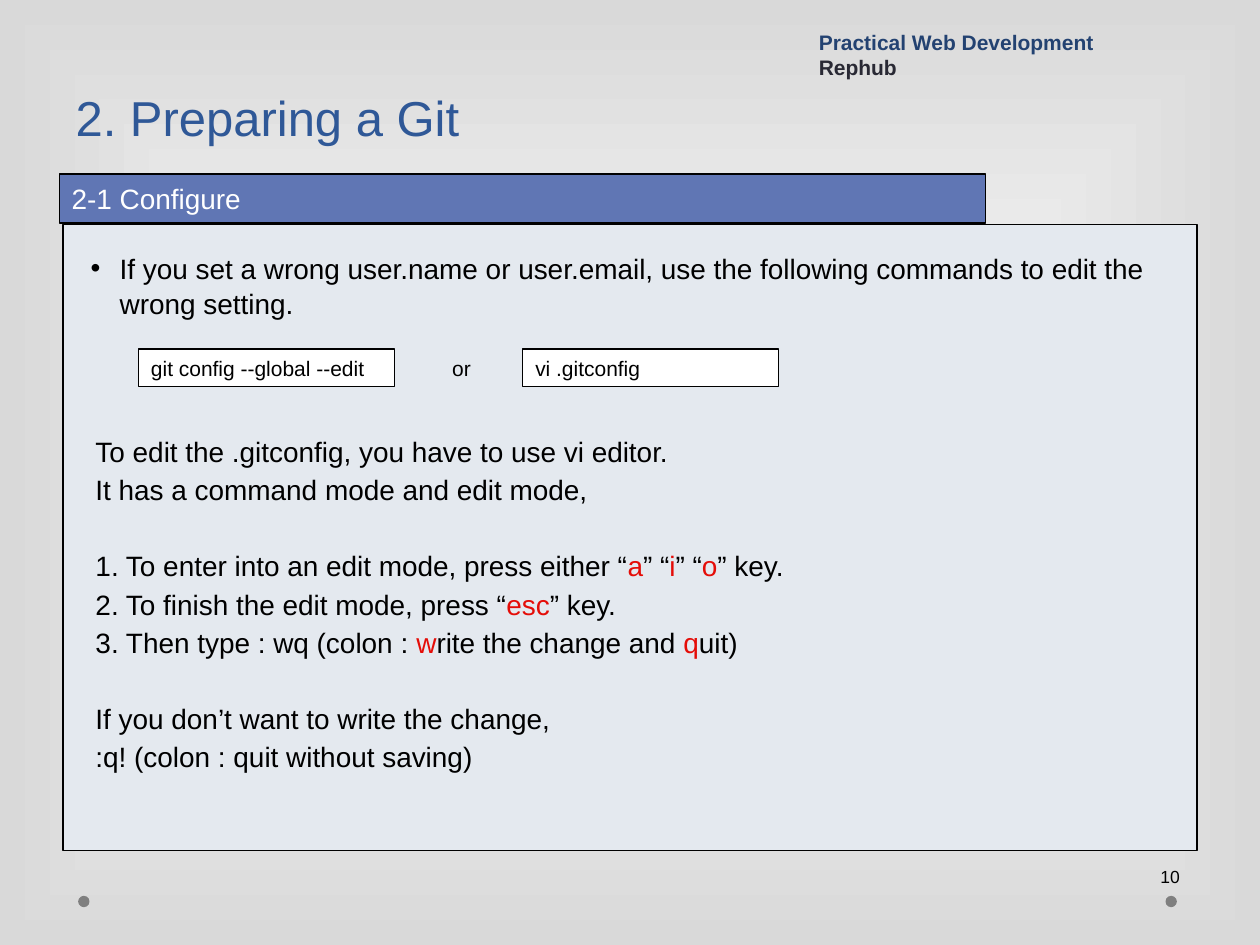
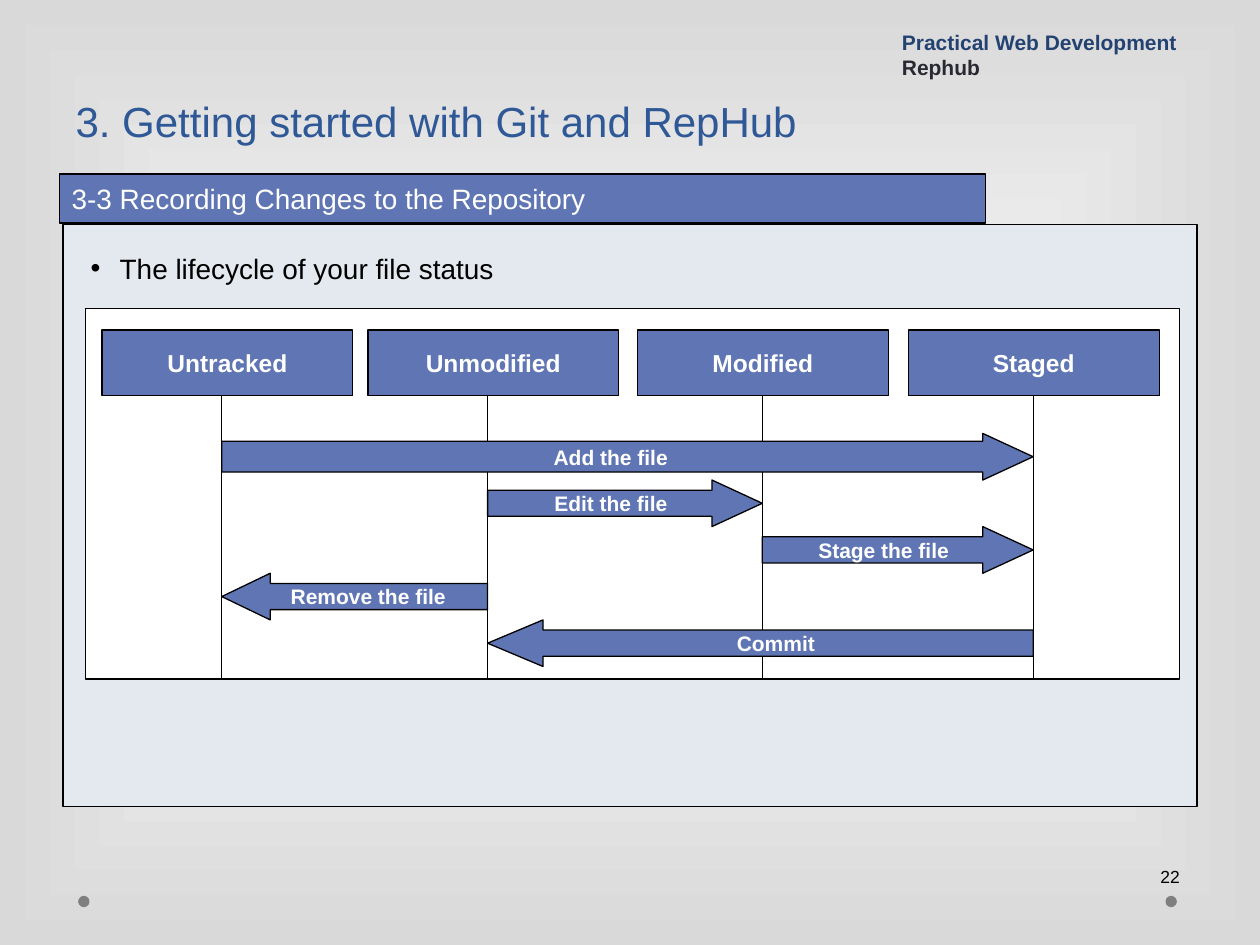
from lxml import etree
from pptx import Presentation
from pptx.dml.color import RGBColor
from pptx.enum.shapes import MSO_CONNECTOR, MSO_SHAPE
from pptx.enum.text import MSO_ANCHOR, MSO_AUTO_SIZE, PP_ALIGN
from pptx.oxml import parse_xml
from pptx.oxml.ns import nsdecls, qn
from pptx.util import Inches, Pt

COLORS = {
    "title": "2F5897", "band": "6076B4", "panel": "E4E9EF", "course": "234271",
    "topic": "292934", "key": "E40D08", "dot": "7F7F7F", "black": "000000",
    "white": "FFFFFF", "edge": "D9D9D9",
}
FONT = "Arial"
INSETS = (0.1, 0.05, 0.1, 0.05)
PANEL_LEFT, PANEL_TOP, PANEL_WIDTH = 0.5, 1.78, 9
LANES = [  # status, left of its header, position of its line
    ("Untracked", 0.13, 1.08),
    ("Unmodified", 2.24, 3.19),
    ("Modified", 4.38, 5.37),
    ("Staged", 6.53, 7.52),
]
STEPS = [  # action, start lane, end lane, shaft share, head length
    ("Add the file", 0, 3, 0.66, 1.08),
    ("Edit the file", 1, 2, 0.56, 1.08),
    ("Stage the file", 2, 3, 0.56, 1.08),
    ("Remove the file", 1, 0, 0.56, 1.04),
    ("Commit", 3, 1, 0.56, 1.19),
]
EDITOR_NOTES = [  # groups of lines; each line is a list of (text, color)
    [[("To edit the .gitconfig, you have to use vi editor.", "black")],
     [("It has a command mode and edit mode,", "black")]],
    [[("1. To enter into an edit mode, press either “", "black"), ("a", "key"),
      ("” “", "black"), ("i", "key"), ("” “", "black"), ("o", "key"),
      ("” key.", "black")],
     [("2. To finish the edit mode, press “", "black"), ("esc", "key"),
      ("” key.", "black")],
     [("3. Then type : wq (colon : ", "black"), ("w", "key"),
      ("rite the change and ", "black"), ("q", "key"), ("uit)", "black")]],
    [[("If you don’t want to write the change,", "black")],
     [(":q! (colon : quit without saving)", "black")]],
]


def rgb(name):
    return RGBColor.from_string(COLORS[name])


def inches(box):
    return [Inches(value) for value in box]


def apply(target, values):
    for name, value in values.items():
        setattr(target, name, value)


def write(shape, lines, size, bold=False, align=PP_ALIGN.LEFT,
          anchor=MSO_ANCHOR.MIDDLE, insets=INSETS):
    """Fill a shape with lines, each a list of (text, color) runs."""
    frame = shape.text_frame
    left, top, right, bottom = inches(insets)
    apply(frame, {
        "word_wrap": True, "auto_size": MSO_AUTO_SIZE.NONE,
        "vertical_anchor": anchor, "margin_left": left, "margin_top": top,
        "margin_right": right, "margin_bottom": bottom,
    })
    for index, line in enumerate(lines):
        paragraph = frame.add_paragraph() if index else frame.paragraphs[0]
        apply(paragraph, {"alignment": align, "space_before": Pt(0)})
        for text, color in line:
            run = paragraph.add_run()
            run.text = text
            apply(run.font, {"name": FONT, "size": Pt(size), "bold": bold})
            run.font.color.rgb = rgb(color)
    return frame.paragraphs


def add_box(shapes, box, fill, kind=MSO_SHAPE.RECTANGLE, outlined=True):
    shape = shapes.add_shape(kind, *inches(box))
    shape.shadow.inherit = False
    shape.fill.solid()
    shape.fill.fore_color.rgb = rgb(fill)
    if outlined:
        shape.line.color.rgb = rgb("black")
        shape.line.width = Pt(0.75)
    else:
        shape.line.fill.background()
    return shape


def add_line(shapes, x, top, bottom):
    line = shapes.add_connector(
        MSO_CONNECTOR.STRAIGHT, *inches((x, top, x, bottom)))
    line.line.color.rgb = rgb("black")
    line.line.width = Pt(0.75)
    etree.SubElement(line.element.spPr, qn("a:effectLst"))


def place(shape, box):
    apply(shape, dict(zip(("left", "top", "width", "height"), inches(box))))


def set_background(master):
    master.background.fill.solid()
    solid = master.element.find(".//" + qn("p:bgPr")).find(qn("a:solidFill"))
    gradient = parse_xml(
        f'<a:gradFill {nsdecls("a")} rotWithShape="1"><a:gsLst>'
        f'<a:gs pos="0"><a:srgbClr val="{COLORS["white"]}"/></a:gs>'
        f'<a:gs pos="100000"><a:srgbClr val="{COLORS["edge"]}"/></a:gs>'
        '</a:gsLst><a:path path="rect">'
        '<a:fillToRect l="50000" t="50000" r="50000" b="50000"/>'
        '</a:path></a:gradFill>')
    solid.getparent().replace(solid, gradient)


def add_frame_slide(presentation, title, title_size, section, bullet, number,
                    panel_height, course_left):
    """Add a slide with everything the lessons share."""
    slide = presentation.slides.add_slide(presentation.slide_layouts[1])
    shapes = slide.shapes

    # Panel goes behind the placeholders
    panel = add_box(
        shapes, (PANEL_LEFT, PANEL_TOP, PANEL_WIDTH, panel_height), "panel")
    shapes.title.element.addprevious(panel.element)

    # Title and bullet
    place(shapes.title, (0.5, 0.49, 9, 0.72))
    write(shapes.title, [[(title, "title")]], title_size,
          anchor=MSO_ANCHOR.BOTTOM)
    body = slide.placeholders[1]
    place(body, (PANEL_LEFT + 0.12, PANEL_TOP + 0.15, 8.67, 0.71))
    paragraph = write(body, [[(bullet, "black")]], 16,
                      anchor=MSO_ANCHOR.TOP)[0]
    paragraph.line_spacing = 1.05
    properties = paragraph._p.get_or_add_pPr()
    properties.set("marL", str(Inches(0.23)))
    properties.set("indent", str(-Inches(0.23)))

    # Section band
    band = add_box(shapes, (0.47, 1.38, 7.35, 0.39), "band")
    write(band, [[(section, "white")]], 16)

    # Course name, page number and footer dots
    course = shapes.add_textbox(
        *inches((course_left, 0.13, 9.99 - course_left, 0.55)))
    write(course, [[("Practical Web Development", "course")],
                   [("Rephub", "topic")]], 12, bold=True,
          anchor=MSO_ANCHOR.BOTTOM)
    page = shapes.add_textbox(*inches((9.18, 6.75, 0.29, 0.42)))
    write(page, [[(number, "black")]], 10, insets=(0.03, 0.05, 0.05, 0.05))
    for left in (0.62, 9.25):
        add_box(shapes, (left, 7.11, 0.09, 0.09), "dot", MSO_SHAPE.OVAL, False)
    return slide


def add_commands(shapes, left, top):
    """Two alternative commands with a word between them."""
    for offset, command in ((0, "git config --global --edit"),
                            (3.05, "vi .gitconfig")):
        box = add_box(shapes, (left + offset, top, 2.03, 0.3), "white")
        write(box, [[(command, "black")]], 12)
    word = shapes.add_textbox(*inches((left + 2.39, top, 0.5, 0.3)))
    write(word, [[("or", "black")]], 12)


def add_editor_notes(shapes, box):
    notes = shapes.add_textbox(*inches(box))
    lines = [line for group in EDITOR_NOTES for line in group]
    group_starts = [group[0] for group in EDITOR_NOTES[1:]]
    paragraphs = write(notes, lines, 16, anchor=MSO_ANCHOR.TOP)
    for index, (paragraph, line) in enumerate(zip(paragraphs, lines)):
        paragraph.line_spacing = 0.9
        if index:
            paragraph.space_before = Pt(26 if line in group_starts else 4.7)


def add_lifecycle(shapes, left, top, width, height):
    """Status lanes joined by labelled arrows."""
    group = shapes.add_group_shape().shapes
    add_box(group, (left, top, width, height), "white")

    # Lane headers and lines
    header_top, header_height = top + 0.17, 0.52
    for status, header_left, line_x in LANES:
        header = add_box(
            group, (left + header_left, header_top, 1.99, header_height), "band")
        write(header, [[(status, "white")]], 14, True, PP_ALIGN.CENTER)
        add_line(group, left + line_x, header_top + header_height, top + height)

    # Arrows, one row each
    row_height = 0.37
    for row, (action, start, end, shaft, head) in enumerate(STEPS):
        first, last = sorted((LANES[start][2], LANES[end][2]))
        kind = MSO_SHAPE.RIGHT_ARROW if end > start else MSO_SHAPE.LEFT_ARROW
        arrow = add_box(
            group, (left + first, top + 0.99 + row * row_height,
                    last - first, row_height), "band", kind)
        arrow.adjustments[0], arrow.adjustments[1] = shaft, head
        write(arrow, [[(action, "white")]], 12, True, PP_ALIGN.CENTER,
              insets=(0.1, 0, 0.1, 0))


def main():
    presentation = Presentation()
    presentation.slide_width, presentation.slide_height = inches((10, 7.5))
    set_background(presentation.slide_master)

    # Configure
    slide = add_frame_slide(
        presentation, "2. Preparing a Git", 28, "2-1 Configure",
        "If you set a wrong user.name or user.email, use the following "
        "commands to edit the wrong setting.", "10", 4.97, 6.4)
    add_commands(slide.shapes, PANEL_LEFT + 0.6, PANEL_TOP + 0.99)
    add_editor_notes(
        slide.shapes, (PANEL_LEFT + 0.16, PANEL_TOP + 1.65, 8.84, 2.93))

    # Recording changes
    slide = add_frame_slide(
        presentation, "3. Getting started with Git and RepHub", 24,
        "3-3 Recording Changes to the Repository",
        "The lifecycle of your file status", "22", 4.62, 7.06)
    add_lifecycle(
        slide.shapes, PANEL_LEFT + 0.18, PANEL_TOP + 0.67, 8.68, 2.94)

    presentation.save("out.pptx")


if __name__ == "__main__":
    main()
